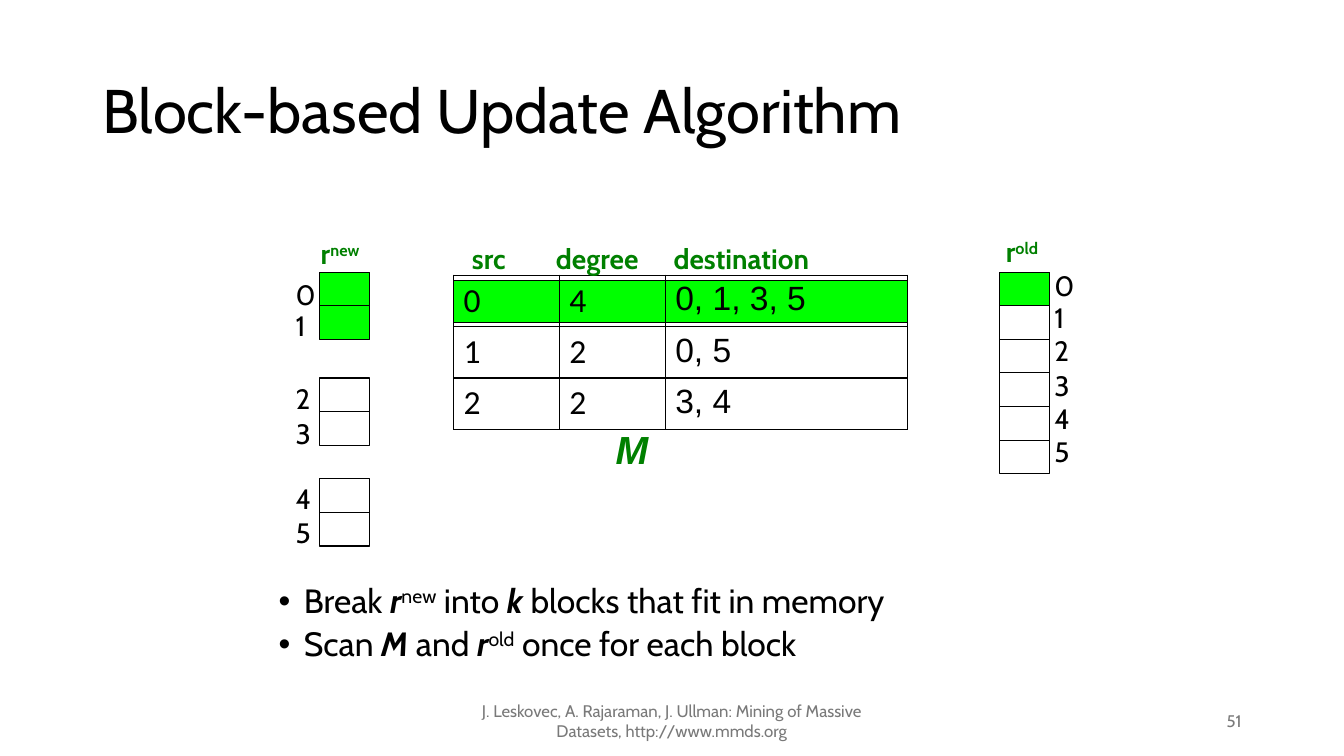
"""Build the slide on the block-based update algorithm."""
import pptx
import pptx.util
import pptx.dml.color
import pptx.enum.shapes
import pptx.enum.text
import pptx.oxml
import pptx.oxml.ns

Pt = pptx.util.Pt
ALIGN = pptx.enum.text.PP_ALIGN
ANCHOR = pptx.enum.text.MSO_ANCHOR
FIT = pptx.enum.text.MSO_AUTO_SIZE
RECT = pptx.enum.shapes.MSO_SHAPE.RECTANGLE

COLORS = {"black": "000000", "lime": "00FF00", "green": "008000", "gray": "797979"}
TITLE = "Block-based Update Algorithm"
BULLETS = [
    [("Break ", ""), ("r", "bi"), ("new", "up"), (" into ", ""), ("k", "bi"),
     (" blocks that fit in memory", "")],
    [("Scan ", ""), ("M", "bi"), (" and ", ""), ("r", "bi"), ("old", "up"),
     (" once for each block", "")],
]
FOOTER = [
    ("J. Leskovec, A. Rajaraman, J. Ullman: Mining of Massive Datasets, "
     "http://www.mmds.org", 318, 324, ALIGN.CENTER),
    ("51", 678, 216, ALIGN.RIGHT),
]
ROWS = [("0", "4", "0, 1, 3, 5"), ("1", "2", "0, 5"), ("2", "2", "3, 4")]
COLS = [(75.6, "Calibri"), (75.6, "Calibri"), (172.8, "Arial")]
HEADS = [("src", 330, 43), ("degree", 390, 78), ("destination", 474, 120)]
VECTORS = [
    {"name": "new", "head": (222, 165.6, 47.5), "left": 228, "digits": 204,
     "blocks": [(194.4, 2), (270, 2), (342, 2)], "lit": 2,
     "tops": [194.4, 216.7, 268.6, 293.8, 340.6, 365]},
    {"name": "old", "head": (711.4, 164.2, 41.8), "left": 714, "digits": 746,
     "blocks": [(194.4, 6)], "lit": 1,
     "tops": [188, 211, 234.7, 260, 283, 306.7]},
]
TABLE_LEFT, TABLE_TOP, ROW_HIGH = 324, 196.6, 36.7
BOX_WIDE, BOX_HIGH = 36, 24


def paint(name):
    return pptx.dml.color.RGBColor.from_string(COLORS[name])


def style(par, size, color="black", face="Cabin", bold=None, slant=None):
    font = par.font
    font.size, font.name, font.bold, font.italic = Pt(size), face, bold, slant
    font.color.rgb = paint(color)


def write(par, parts):
    for text, mark in parts:
        run = par.add_run()
        run.text = text
        if mark == "bi":
            run.font.bold = run.font.italic = True
        if mark == "up":
            run._r.get_or_add_rPr().set("baseline", "30000")


def add_text(slide, x, y, wide, high):
    frame = slide.shapes.add_textbox(Pt(x), Pt(y), Pt(wide), Pt(high)).text_frame
    frame.word_wrap = True
    return frame


def add_label(slide, parts, x, y, wide, high=31.5, size=20, **look):
    frame = add_text(slide, x, y, wide, high)
    frame.word_wrap = False
    frame.auto_size = FIT.SHAPE_TO_FIT_TEXT
    write(frame.paragraphs[0], parts)
    style(frame.paragraphs[0], size, **look)


def add_box(slide, x, y, wide, high, lit):
    box = slide.shapes.add_shape(RECT, Pt(x), Pt(y), Pt(wide), Pt(high))
    box.shadow.inherit = False
    box.line.color.rgb = paint("black")
    box.line.width = Pt(0.75)
    if lit:
        box.fill.solid()
        box.fill.fore_color.rgb = paint("lime")
    else:
        box.fill.background()


def add_vector(slide, vector):
    tops = [top + i * BOX_HIGH for top, count in vector["blocks"] for i in range(count)]
    for i, (top, text_top) in enumerate(zip(tops, vector["tops"])):
        add_box(slide, vector["left"], top, BOX_WIDE, BOX_HIGH, i < vector["lit"])
        add_label(slide, [(str(i), "")], vector["digits"], text_top, 26)
    x, y, wide = vector["head"]
    add_label(slide, [("r", ""), (vector["name"], "up")], x, y, wide,
              color="green", bold=True)


def add_edges(cell):
    props = cell._tc.get_or_add_tcPr()
    for side in "LRTB":
        props.append(pptx.oxml.parse_xml(
            f'<a:ln{side} {pptx.oxml.ns.nsdecls("a")} w="12700"><a:solidFill>'
            f'<a:srgbClr val="{COLORS["black"]}"/></a:solidFill></a:ln{side}>'))


def add_matrix(slide):
    wide = sum(col[0] for col in COLS)
    add_box(slide, TABLE_LEFT, 200.2, wide, 30.2, True)
    table = slide.shapes.add_table(
        len(ROWS), len(COLS), Pt(TABLE_LEFT), Pt(TABLE_TOP), Pt(wide),
        Pt(ROW_HIGH * len(ROWS))).table
    table.first_row = table.horz_banding = False
    for c, (col_wide, face) in enumerate(COLS):
        table.columns[c].width = Pt(col_wide)
        for r, row in enumerate(ROWS):
            table.rows[r].height = Pt(ROW_HIGH)
            cell = table.cell(r, c)
            cell.text = row[c]
            style(cell.text_frame.paragraphs[0], 24, face=face)
            add_edges(cell)
            cell.fill.background()
    for text, x, head_wide in HEADS:
        add_label(slide, [(text, "")], x, 169.2, head_wide, color="green", bold=True)
    add_label(slide, [("M", "")], 432.7, 300.2, 38, 41, 28,
              color="green", face="Arial", bold=True, slant=True)


def add_bullets(slide):
    frame = add_text(slide, 156, 414, 648, 102)
    for i, parts in enumerate(BULLETS):
        par = frame.add_paragraph() if i else frame.paragraphs[0]
        write(par, parts)
        style(par, 24)
        par.line_spacing = 0.9
        par.space_before = Pt(5)
        props = par._p.get_or_add_pPr()
        props.set("marL", str(Pt(54)))
        props.set("indent", str(Pt(-18)))
        for tag in ('buFont typeface="Arial"', 'buChar char="•"'):
            props.insert_element_before(
                pptx.oxml.parse_xml(f'<a:{tag} {pptx.oxml.ns.nsdecls("a")}/>'),
                "a:tabLst", "a:defRPr", "a:extLst")


def add_title(slide):
    title = slide.shapes.title
    title.left, title.top, title.width, title.height = Pt(66), Pt(28.8), Pt(828), Pt(104.4)
    title.text_frame.text = TITLE
    title.text_frame.vertical_anchor = ANCHOR.MIDDLE
    par = title.text_frame.paragraphs[0]
    par.alignment, par.line_spacing = ALIGN.LEFT, 0.9
    style(par, 44)


def add_footer(slide):
    for text, x, wide, align in FOOTER:
        frame = add_text(slide, x, 500.5, wide, 28.8)
        frame.vertical_anchor = ANCHOR.MIDDLE
        par = frame.paragraphs[0]
        par.text, par.alignment = text, align
        style(par, 12, "gray")


def main():
    deck = pptx.Presentation()
    deck.slide_width, deck.slide_height = Pt(960), Pt(540)
    slide = deck.slides.add_slide(deck.slide_layouts[5])
    add_title(slide)
    add_bullets(slide)
    add_footer(slide)
    add_matrix(slide)
    for vector in VECTORS:
        add_vector(slide, vector)
    deck.save("out.pptx")


if __name__ == "__main__":
    main()
